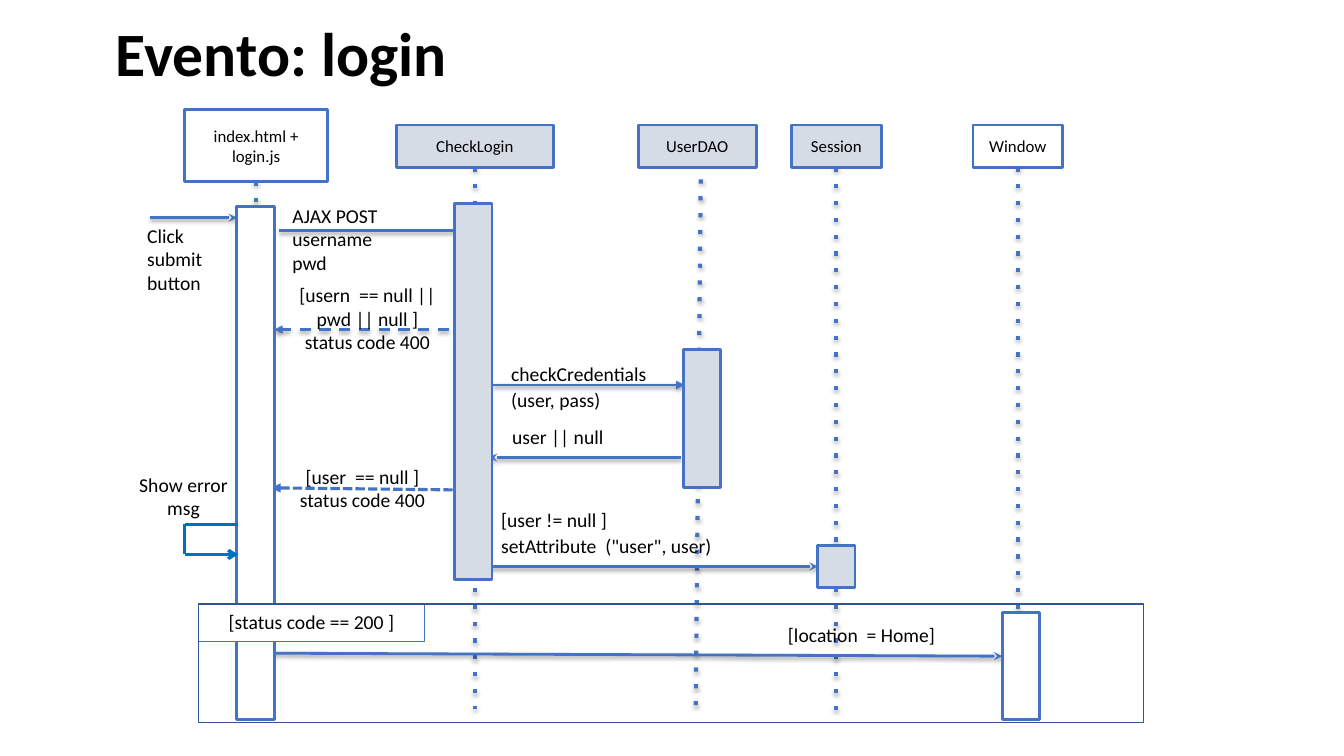
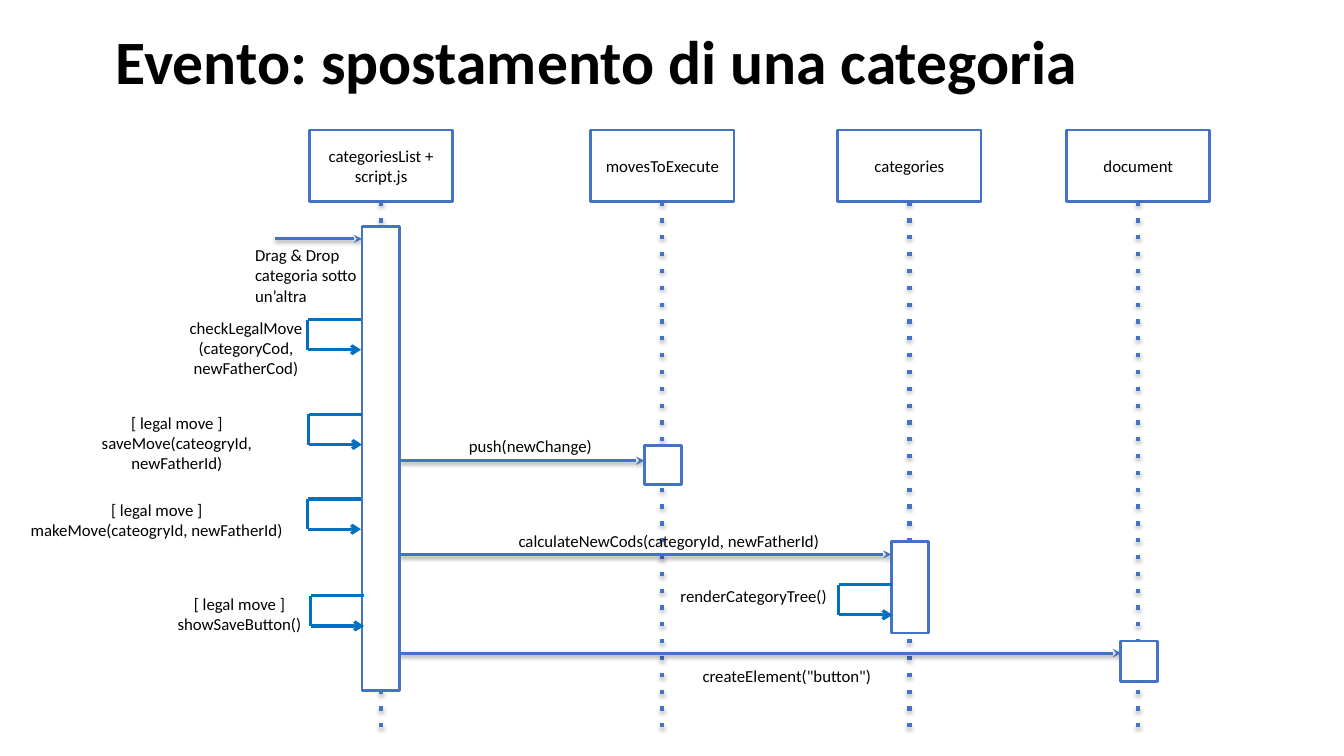
import pptx
import pptx.util
import pptx.dml.color
import pptx.enum.shapes
import pptx.enum.text
import pptx.oxml.ns
import lxml.etree

Inches = pptx.util.Inches
RGBColor = pptx.dml.color.RGBColor
ALIGN = pptx.enum.text.PP_ALIGN
ANCHOR = pptx.enum.text.MSO_ANCHOR

BLACK = RGBColor(0x00, 0x00, 0x00)
WHITE = RGBColor(0xFF, 0xFF, 0xFF)
GREY = RGBColor(0xD6, 0xDC, 0xE5)
BLUE = RGBColor(0x44, 0x72, 0xC4)
LOOP_BLUE = RGBColor(0x00, 0x70, 0xC0)
FRAME_BLUE = RGBColor(0x32, 0x54, 0x91)
FONT = "Calibri"
BAR_WIDTH = 0.37
LOOP_WIDTH = 0.53
LOOP_HEIGHT = 0.3
LIFELINE_SHADOW = (35, 1.8)
MESSAGE_SHADOW = (38, 1.6)


def add_child(parent, tag, **attributes):
    child = lxml.etree.SubElement(parent, pptx.oxml.ns.qn(tag))
    for name, value in attributes.items():
        child.set(name, str(value))
    return child


def write(shape, lines, size, align=ALIGN.LEFT, anchor=ANCHOR.TOP, bold=False, after=0):
    frame = shape.text_frame
    frame.word_wrap = True
    frame.auto_size = pptx.enum.text.MSO_AUTO_SIZE.NONE
    frame.vertical_anchor = anchor
    frame.margin_left = frame.margin_right = Inches(0.12)
    frame.margin_top = frame.margin_bottom = Inches(0.06)
    for index, line in enumerate(lines):
        para = frame.add_paragraph() if index else frame.paragraphs[0]
        para.alignment = align
        para.space_after = pptx.util.Pt(after)
        span = para.add_run()
        span.text = line
        span.font.name = FONT
        span.font.size = pptx.util.Pt(size)
        span.font.bold = bold
        span.font.color.rgb = BLACK


def add_title(slide, text, top, height):
    title = slide.shapes.title
    title.left, title.top = Inches(1.03), Inches(top)
    title.width, title.height = Inches(11.09), Inches(height)
    write(title, [text], 44, anchor=ANCHOR.MIDDLE, bold=True)
    title.text_frame.paragraphs[0].line_spacing = 0.9


def add_label(slide, box, lines, size, align=ALIGN.CENTER, after=0):
    label = slide.shapes.add_textbox(*map(Inches, box))
    write(label, lines, size, align, after=after)


def add_box(slide, box, fill=WHITE, line=BLUE, weight=2):
    shape = slide.shapes.add_shape(
        pptx.enum.shapes.MSO_SHAPE.RECTANGLE, *map(Inches, box))
    shape.shadow.inherit = False
    if fill is None:
        shape.fill.background()
    else:
        shape.fill.solid()
        shape.fill.fore_color.rgb = fill
    shape.line.color.rgb = line
    shape.line.width = pptx.util.Pt(weight)
    return shape


def add_line(slide, start, end, color=BLUE, weight=2, dash=None, tip=None, shadow=None):
    line = slide.shapes.add_connector(
        pptx.enum.shapes.MSO_CONNECTOR.STRAIGHT, *map(Inches, start + end))
    line.line.color.rgb = color
    line.line.width = pptx.util.Pt(weight)
    outline = line.line._get_or_add_ln()
    if dash:
        add_child(outline, "a:prstDash", val=dash)
    if tip:
        add_child(outline, "a:tailEnd", type=tip)
    effects = add_child(line._element.spPr, "a:effectLst")
    if shadow:
        opacity, distance = shadow
        outer = add_child(effects, "a:outerShdw", blurRad=pptx.util.Pt(3.1),
                          dist=pptx.util.Pt(distance), dir=5400000, rotWithShape=0)
        color_node = add_child(outer, "a:srgbClr", val="000000")
        add_child(color_node, "a:alpha", val=opacity * 1000)
    return line


def add_lifeline(slide, start, end):
    return add_line(slide, start, end, weight=3, dash="dot", shadow=LIFELINE_SHADOW)


def add_heading(slide, box, name, fill=WHITE):
    heading = add_box(slide, box, fill)
    write(heading, [name], 12, ALIGN.CENTER, ANCHOR.MIDDLE)
    return heading


def add_participant(slide, box, name, foot, fill=WHITE):
    left, top, width, height = box
    center = left + width / 2
    heading = add_heading(slide, box, name, fill)
    lifeline = add_lifeline(slide, (center, top + height), (center, foot))
    lifeline.begin_connect(heading, 2)


def add_bar(slide, left, top, height, fill=WHITE):
    return add_box(slide, (left, top, BAR_WIDTH, height), fill)


def add_message(slide, start, end, tip="stealth", dash=None):
    return add_line(slide, start, end, tip=tip, dash=dash, shadow=MESSAGE_SHADOW)


def add_self_call(slide, left, top):
    right, bottom = left + LOOP_WIDTH, top + LOOP_HEIGHT
    corners = [(right, top), (left, top), (left, bottom), (right, bottom)]
    for start, end, tip in zip(corners, corners[1:], (None, None, "arrow")):
        add_line(slide, start, end, LOOP_BLUE, 2.25, tip=tip)


def add_guard_frame(slide, box, guard):
    left, top = box[:2]
    tab = add_box(slide, (left, top, 2.24, 0.37), weight=0.25)
    write(tab, [guard], 14, ALIGN.CENTER)
    add_box(slide, box, fill=None, line=FRAME_BLUE, weight=1)


def build_login(slide):
    add_title(slide, "Evento: login", 0.01, 1.1)
    for left, top, width, height, name, foot, fill in (
        (1.83, 1.09, 1.42, 0.71, "index.html + login.js", 6.64, WHITE),
        (3.93, 1.24, 1.56, 0.42, "CheckLogin", 7.03, GREY),
        (7.85, 1.24, 0.89, 0.42, "Session", 7.13, GREY),
        (9.65, 1.24, 0.89, 0.42, "Window", 7.13, WHITE),
    ):
        add_participant(slide, (left, top, width, height), name, foot, fill)
    add_heading(slide, (6.33, 1.24, 1.17, 0.42), "UserDAO", GREY)
    add_lifeline(slide, (6.95, 1.78), (6.9, 7.03))

    for start, end, tip, dash in (
        ((1.49, 2.16), (2.35, 2.16), "stealth", None),
        ((2.77, 2.29), (4.69, 2.29), "stealth", None),
        ((4.65, 3.27), (2.72, 3.27), "triangle", "dash"),
        ((4.89, 3.82), (6.79, 3.82), "triangle", None),
        ((6.75, 4.54), (4.85, 4.54), "stealth", None),
        ((2.68, 6.48), (9.94, 6.51), "stealth", None),
    ):
        add_message(slide, start, end, tip, dash)
    add_line(slide, (4.49, 4.86), (2.69, 4.84), weight=2.25, dash="sysDash", tip="triangle")
    set_attribute = add_message(slide, (4.75, 5.62), (8.11, 5.62))

    add_bar(slide, 2.35, 2.05, 5.09)
    add_bar(slide, 4.51, 2.02, 3.73, GREY)
    add_bar(slide, 6.78, 3.47, 1.37, GREY)
    session_bar = add_bar(slide, 8.11, 5.41, 0.42, GREY)
    set_attribute.end_connect(session_bar, 1)
    add_self_call(slide, 1.83, 5.2)
    add_guard_frame(slide, (1.97, 5.99, 9.37, 1.18), "[status code == 200 ]")
    add_bar(slide, 9.94, 6.08, 1.06)

    for box, lines, align, after in (
        ((1.34, 2.16, 0.86, 1.08), ["Click", "submit", "button"], ALIGN.LEFT, 0),
        ((2.78, 1.96, 1.2, 0.68), ["AJAX POST username pwd"], ALIGN.LEFT, 0),
        ((2.81, 2.75, 1.67, 0.71),
         ["[usern  == null || pwd || null ]", "status code 400"], ALIGN.CENTER, 0),
        ((4.95, 3.53, 1.9, 0.53), ["checkCredentials", "(user, pass)"], ALIGN.LEFT, 2),
        ((4.96, 4.16, 1.35, 0.4), ["user || null"], ALIGN.LEFT, 0),
        ((2.76, 4.55, 1.67, 0.71), ["[user  == null ]", "status code 400"], ALIGN.CENTER, 0),
        ((1.22, 4.63, 1.2, 0.61), ["Show error msg"], ALIGN.CENTER, 0),
        ((4.85, 4.98, 3.69, 0.63),
         ["[user != null ]", 'setAttribute  ("user", user)'], ALIGN.LEFT, 2),
        ((7.24, 6.12, 2.61, 0.33), ["[location  = Home]"], ALIGN.CENTER, 0),
    ):
        add_label(slide, box, lines, 14, align, after)


def build_category_move(slide):
    add_title(slide, "Evento: spostamento di una categoria", 0.18, 0.92)
    for left, name in (
        (3.07, "categoriesList + script.js"),
        (5.86, "movesToExecute"),
        (8.31, "categories"),
        (10.58, "document"),
    ):
        add_participant(slide, (left, 1.29, 1.42, 0.71), name, 7.27)

    for start, end, height in (
        (2.73, 3.59, 2.37),
        (3.97, 6.39, 4.57),
        (3.97, 8.84, 5.5),
        (3.97, 11.12, 6.48),
    ):
        add_message(slide, (start, height), (end, height))
    for left, top, height in (
        (3.59, 2.25, 4.6),
        (6.39, 4.42, 0.39),
        (8.84, 5.37, 0.91),
        (11.11, 6.36, 0.4),
    ):
        add_bar(slide, left, top, height)
    for left, top in ((3.05, 3.17), (3.06, 4.11), (3.05, 4.95), (3.08, 5.91), (8.32, 5.8)):
        add_self_call(slide, left, top)

    add_label(slide, (2.41, 2.37, 1.36, 0.95),
              ["Drag & Drop categoria sotto un’altra"], 12, ALIGN.LEFT)
    for box, lines in (
        ((1.75, 3.09, 1.38, 0.67), ["checkLegalMove(categoryCod, newFatherCod)"]),
        ((0.42, 4.03, 2.67, 0.71), ["[ legal move ]", "saveMove(cateogryId, newFatherId)"]),
        ((-0.11, 4.9, 3.33, 0.71), ["[ legal move ]", "makeMove(cateogryId, newFatherId)"]),
        ((1.49, 5.83, 1.77, 0.53), ["[ legal move ]", "showSaveButton()"]),
        ((4.27, 4.26, 1.98, 0.33), ["push(newChange)"]),
        ((4.67, 5.21, 3.93, 0.33), ["calculateNewCods(categoryId, newFatherId)"]),
        ((6.59, 5.75, 1.77, 0.4), ["renderCategoryTree()"]),
        ((6.79, 6.54, 2.03, 0.32), ['createElement("button")']),
    ):
        add_label(slide, box, lines, 12)


def main():
    deck = pptx.Presentation()
    deck.slide_width, deck.slide_height = Inches(13.33), Inches(7.5)
    for build in (build_login, build_category_move):
        build(deck.slides.add_slide(deck.slide_layouts[5]))
    deck.save("out.pptx")


if __name__ == "__main__":
    main()
